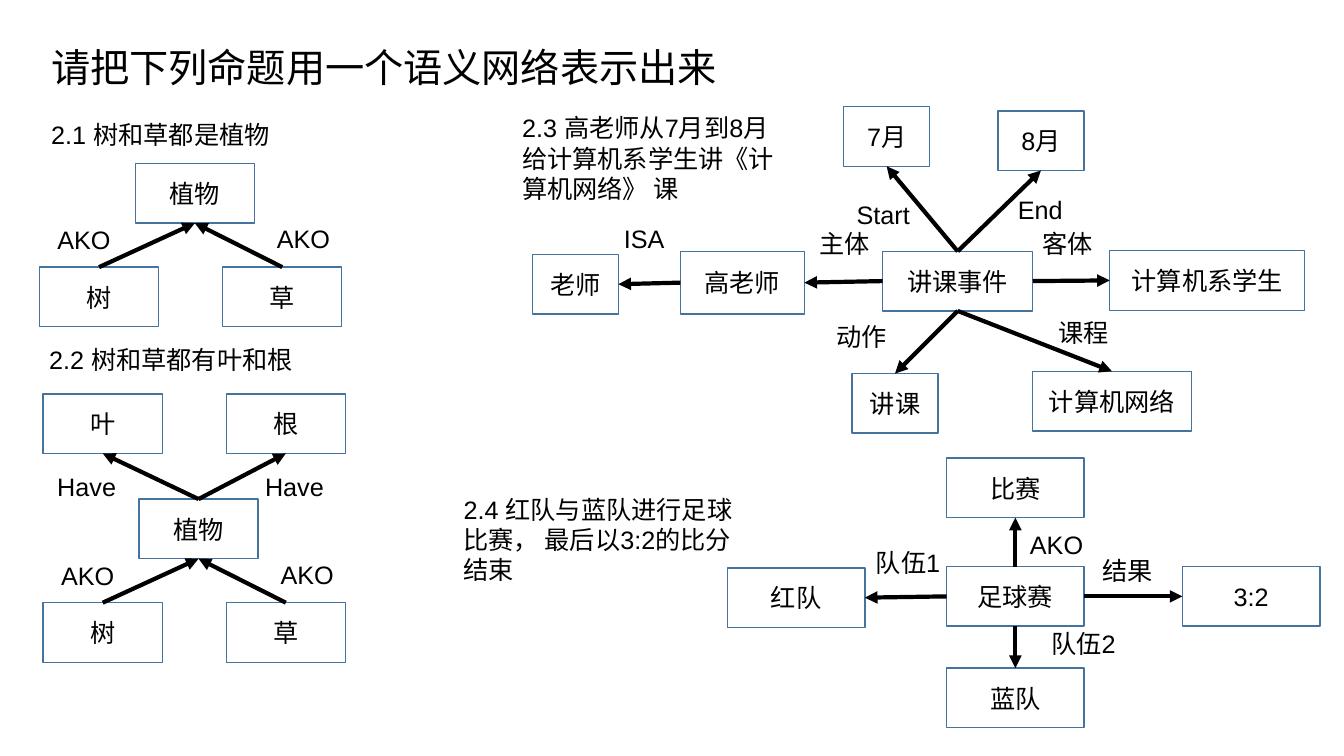
from dataclasses import dataclass
from enum import IntEnum

from lxml import etree
from pptx import Presentation
from pptx.dml.color import RGBColor
from pptx.enum import shapes, text
from pptx.oxml import ns
from pptx.slide import Slide
from pptx.util import Pt

COLORS = {"ink": "000000", "border": "43739E"}
FONT = "Arial"
BODY_SIZE = 18
TITLE_SIZE = 28
NODE_HEIGHT = 42.6
LABEL_WIDTH, LABEL_HEIGHT = 73.4, 29.1


class Side(IntEnum):
    """Connection sites of a rectangle."""
    TOP = 0
    LEFT = 1
    BOTTOM = 2
    RIGHT = 3


OPPOSITE = {Side.TOP: Side.BOTTOM, Side.BOTTOM: Side.TOP,
            Side.LEFT: Side.RIGHT, Side.RIGHT: Side.LEFT}


@dataclass
class Node:
    name: str
    left: float
    top: float
    width: float
    height: float = NODE_HEIGHT


@dataclass
class Relation:
    """An arrow that leaves source by one side, with its label's corner."""
    source: str
    target: str
    exit: Side
    label: str
    left: float
    top: float


@dataclass
class Network:
    nodes: list[Node]
    relations: list[Relation]


@dataclass
class Statement:
    lines: list[str]
    left: float
    top: float
    width: float
    height: float
    first_size: float = BODY_SIZE


def plant_network(dx: float, dy: float) -> Network:
    """Tree and grass under plant, shifted from the first place it is used."""
    return Network(
        [Node("树", 28.2 + dx, 190.8 + dy, 85.2),
         Node("植物", 96.6 + dx, 116.8 + dy, 85.2),
         Node("草", 159 + dx, 190.8 + dy, 85.2)],
        [Relation("树", "植物", Side.TOP, "AKO", 33.9 + dx, 157 + dy),
         Relation("草", "植物", Side.TOP, "AKO", 190.7 + dx, 156.3 + dy)])


plants = plant_network(0, 0)

plant_parts = plant_network(2.6, 239.7)
plant_parts.nodes += [Node("叶", 30.8, 281.3, 85.2), Node("根", 161.6, 281.3, 85.2)]
plant_parts.relations += [
    Relation("植物", "叶", Side.TOP, "Have", 33.8, 332.8),
    Relation("植物", "根", Side.TOP, "Have", 182.2, 333.2)]

lecture = Network(
    [Node("计算机系学生", 792.7, 179, 139.2),
     Node("讲课事件", 630.5, 179.5, 107.2),
     Node("高老师", 486, 179.5, 88.6, 44.8),
     Node("老师", 380.2, 181.7, 61.5),
     Node("7月", 602.6, 76.2, 61.5),
     Node("8月", 712.8, 79.2, 61.5),
     Node("讲课", 608.6, 266.8, 61.5),
     Node("计算机网络", 737.5, 265.2, 113.5)],
    [Relation("讲课事件", "7月", Side.TOP, "Start", 604.8, 139),
     Relation("讲课事件", "8月", Side.TOP, "End", 720, 135.2),
     Relation("讲课事件", "计算机系学生", Side.RIGHT, "客体", 737.3, 159.8),
     Relation("讲课事件", "高老师", Side.LEFT, "主体", 578.2, 159.2),
     Relation("高老师", "老师", Side.LEFT, "ISA", 438.5, 156.2),
     Relation("讲课事件", "讲课", Side.BOTTOM, "动作", 590.4, 226),
     Relation("讲课事件", "计算机网络", Side.BOTTOM, "课程", 748.8, 223.2)])

match = Network(
    [Node("足球赛", 676.2, 404.7, 98.2),
     Node("红队", 519.6, 405.6, 98.2),
     Node("3:2", 844.6, 404.7, 98.2),
     Node("比赛", 676.2, 327.2, 98.2),
     Node("蓝队", 676.2, 477.2, 98.2)],
    [Relation("足球赛", "红队", Side.LEFT, "队伍1", 618.5, 387.4),
     Relation("足球赛", "3:2", Side.RIGHT, "结果", 780.5, 393),
     Relation("足球赛", "比赛", Side.TOP, "AKO", 728.6, 374.5),
     Relation("足球赛", "蓝队", Side.BOTTOM, "队伍2", 743.8, 445)])

NETWORKS = [plants, plant_parts, lecture, match]

STATEMENTS = [
    Statement(["请把下列命题用一个语义网络表示出来", "2.1 树和草都是植物"],
              29.5, 27.4, 632.2, 85, TITLE_SIZE),
    Statement(["2.2 树和草都有叶和根"], 28, 242.3, 231, 29.1),
    Statement(["2.3 高老师从7月到8月给计算机系学生讲《计算机网络》 课"],
              365.8, 77, 200.9, 94.3),
    Statement(["2.4 红队与蓝队进行足球比赛， 最后以3:2的比分结束"],
              324, 349.2, 222.5, 94.3)]


def color(name: str) -> RGBColor:
    return RGBColor.from_string(COLORS[name])


def style(paragraph, size: float = BODY_SIZE) -> None:
    paragraph.font.name = FONT
    paragraph.font.size = Pt(size)
    paragraph.font.color.rgb = color("ink")


def draw_statement(slide: Slide, item: Statement) -> None:
    box = slide.shapes.add_textbox(Pt(item.left), Pt(item.top), Pt(item.width), Pt(item.height))
    frame = box.text_frame
    frame.word_wrap = True
    frame.auto_size = text.MSO_AUTO_SIZE.SHAPE_TO_FIT_TEXT
    frame.text = "\n".join(item.lines)
    first, *others = frame.paragraphs
    style(first, item.first_size)
    for paragraph in others:
        style(paragraph)
        paragraph.space_before = Pt(20.7)


def draw_node(slide: Slide, node: Node):
    box = slide.shapes.add_shape(shapes.MSO_SHAPE.RECTANGLE, Pt(node.left), Pt(node.top),
                                 Pt(node.width), Pt(node.height))
    box.shadow.inherit = False
    box.fill.background()
    box.line.color.rgb = color("border")
    box.line.width = Pt(1)
    box.text_frame.text = node.name
    box.text_frame.vertical_anchor = text.MSO_ANCHOR.MIDDLE
    paragraph = box.text_frame.paragraphs[0]
    paragraph.alignment = text.PP_ALIGN.CENTER
    style(paragraph)
    return box


def draw_arrow(slide: Slide, source, target, leave: Side) -> None:
    arrow = slide.shapes.add_connector(shapes.MSO_CONNECTOR.STRAIGHT, 0, 0, 0, 0)
    arrow.begin_connect(source, leave)
    arrow.end_connect(target, OPPOSITE[leave])
    arrow.line.color.rgb = color("ink")
    arrow.line.width = Pt(3)
    etree.SubElement(arrow.line._get_or_add_ln(), ns.qn("a:tailEnd"), type="triangle")
    etree.SubElement(arrow._element.spPr, ns.qn("a:effectLst"))


def draw_network(slide: Slide, network: Network) -> None:
    boxes = {node.name: draw_node(slide, node) for node in network.nodes}
    for relation in network.relations:
        draw_arrow(slide, boxes[relation.source], boxes[relation.target], relation.exit)
        draw_statement(slide, Statement([relation.label], relation.left, relation.top,
                                        LABEL_WIDTH, LABEL_HEIGHT))


def main() -> None:
    deck = Presentation()
    deck.slide_width, deck.slide_height = Pt(960), Pt(540)
    slide = deck.slides.add_slide(deck.slide_layouts[6])
    for statement in STATEMENTS:
        draw_statement(slide, statement)
    for network in NETWORKS:
        draw_network(slide, network)
    deck.save("out.pptx")


if __name__ == "__main__":
    main()
